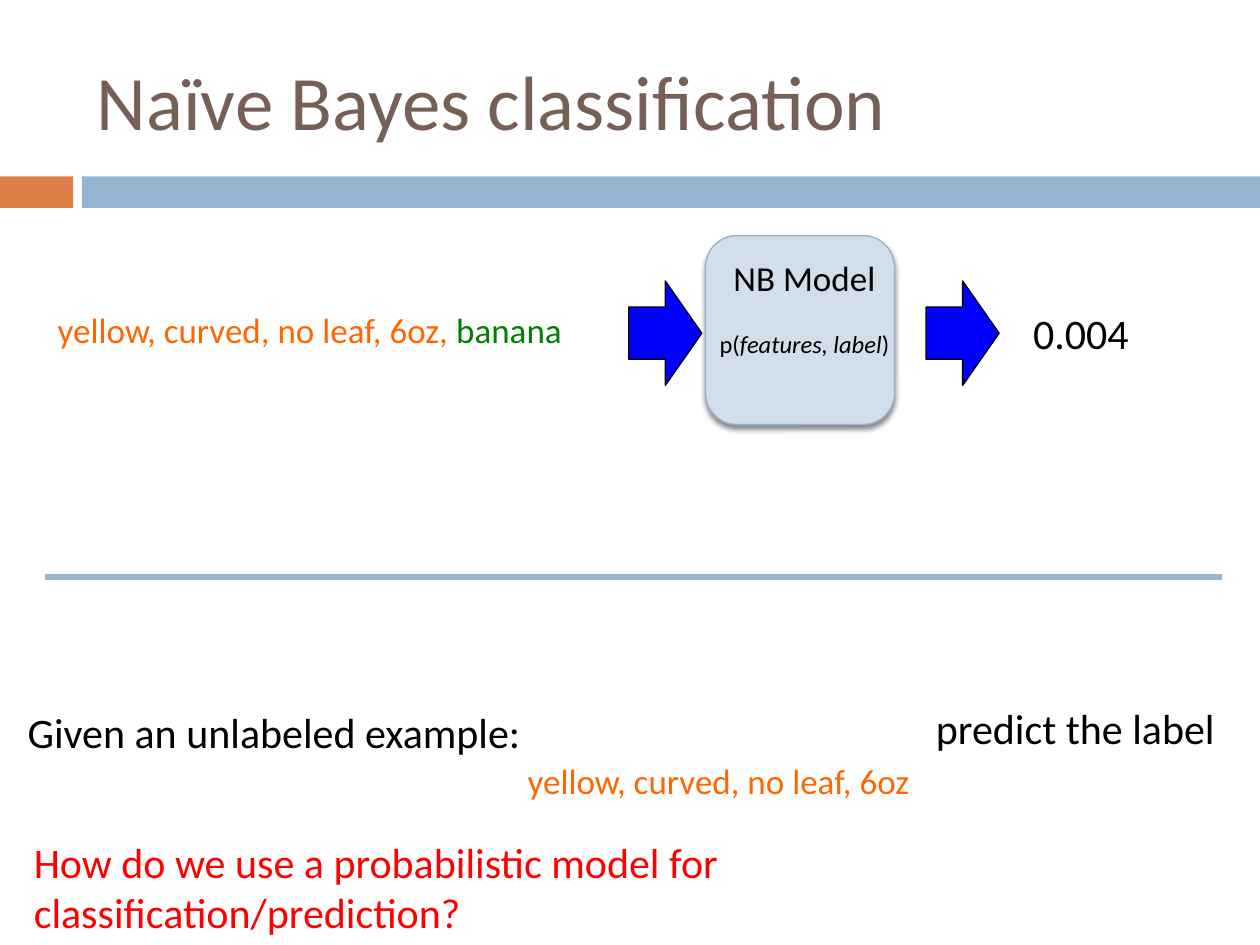
import pptx
import pptx.util
import pptx.dml.color
import pptx.enum.shapes
import pptx.enum.text
import pptx.oxml
from lxml import etree

KIND = pptx.enum.shapes.MSO_SHAPE
ALIGN = pptx.enum.text.PP_ALIGN
ANCHOR = pptx.enum.text.MSO_ANCHOR

THEME = {
    "font": "Calibri",
    "brown": "775F55", "rust": "DD8047", "sky": "94B6D2", "pale": "D2DEEA",
    "orange": "FF6600", "green": "008000", "red": "FF0000",
    "blue": "0000FF", "black": "000000",
    "title": 44, "large": 24, "mid": 20, "small": 14,
}
WIDE, HIGH = 10, 7.5
COLS, ROWS = 100, 75  # square grid cells over the whole slide

# Content: places are (column, row, columns, rows)
BARS = [("rust", (0, 14, 5.8, 2.5)), ("sky", (6.5, 14, 93.5, 2.5))]
TITLE = ((6.7, 2.5, 89.2, 10.8), "Naïve Bayes classification")
MODEL = (56, 18.7, 15, 15)
LABEL = (56, 19.9, 15.7, 9.1)
ARROWS = [(col, 22.3, 5.8, 8.3) for col in (49.9, 73.5)]
RULE = (3.6, 97, 45.8)  # from column, to column, row
FRUIT = "yellow, curved, no leaf, 6oz"
NOTES = [  # place, size, runs of (text, colour)
    ((3.6, 24, 42.5, 4.4), "mid", [(FRUIT + ", ", "orange"), ("banana", "green")]),
    ((81, 23.9, 10.2, 5), "large", [("0.004", "black")]),
    ((1.2, 55.6, 41.8, 5), "large", [("Given an unlabeled example:", "black")]),
    ((40.9, 59.8, 32.6, 4.4), "mid", [(FRUIT, "orange")]),
    ((73.3, 55.3, 24.3, 5), "large", [("predict the label", "black")]),
]
ASK = ((1.7, 65.9, 89.6, 5),
       "How do we use a probabilistic model for classification/prediction?")

SHADE = """<a:effectLst xmlns:a="http://schemas.openxmlformats.org/drawingml/2006/main">
<a:outerShdw blurRad="38100" dist="30480" dir="5400000" rotWithShape="0">
<a:srgbClr val="000000"><a:alpha val="45000"/></a:srgbClr>
</a:outerShdw></a:effectLst>"""
EMPTY = '<a:effectLst xmlns:a="http://schemas.openxmlformats.org/drawingml/2006/main"/>'


def tint(name):
    return pptx.dml.color.RGBColor.from_string(THEME[name])


def col(n):
    return pptx.util.Inches(n * WIDE / COLS)


def row(n):
    return pptx.util.Inches(n * HIGH / ROWS)


def spot(place):
    left, top, width, height = place
    return col(left), row(top), col(width), row(height)


def apply(thing, values):
    for key, value in values.items():
        setattr(thing, key, value)


def draw(shapes, kind, place, fill, line=None, width=0.75):
    shape = shapes.add_shape(kind, *spot(place))
    shape.shadow.inherit = False
    shape.fill.solid()
    shape.fill.fore_color.rgb = tint(fill)
    if line:
        shape.line.color.rgb = tint(line)
        shape.line.width = pptx.util.Pt(width)
    else:
        shape.line.fill.background()
    return shape


def write(para, text, size, hue, italic=False):
    run = para.add_run()
    run.text = text
    apply(run.font, {"name": THEME["font"], "size": pptx.util.Pt(THEME[size]),
                     "italic": italic})
    run.font.color.rgb = tint(hue)


def frame(shapes, place, **form):
    text = shapes.add_textbox(*spot(place)).text_frame
    apply(text, {"word_wrap": True, **form})
    return text


deck = pptx.Presentation()
apply(deck, {"slide_width": col(COLS), "slide_height": row(ROWS)})
slide = deck.slides.add_slide(deck.slide_layouts[6])
shapes = slide.shapes

# Header bars and title
for fill, place in BARS:
    draw(shapes, KIND.RECTANGLE, place, fill)
place, text = TITLE
head = frame(shapes, place, vertical_anchor=ANCHOR.MIDDLE)
write(head.paragraphs[0], text, "title", "brown")

# Model box with its label
group = shapes.add_group_shape().shapes
box = draw(group, KIND.ROUNDED_RECTANGLE, MODEL, "pale", "sky", 0.79)
props = box.fill._xPr
old = props.find(pptx.oxml.ns.qn("a:effectLst"))
props.replace(old, pptx.oxml.parse_xml(SHADE))
label = frame(group, LABEL, margin_left=col(0.5), margin_right=col(0.5))
name, odds = label.paragraphs[0], label.add_paragraph()
for para in (name, odds):
    para.alignment = ALIGN.CENTER
odds.space_before = pptx.util.Pt(17)
write(name, "NB Model", "mid", "black")
for text, italic in (("p(", False), ("features, label", True), (")", False)):
    write(odds, text, "small", "black", italic)

# Arrows in and out of the model
for place in ARROWS:
    draw(shapes, KIND.RIGHT_ARROW, place, "blue", "black")

# Single-line texts
for place, size, runs in NOTES:
    note = frame(shapes, place, word_wrap=False)
    for text, hue in runs:
        write(note.paragraphs[0], text, size, hue)

# Question, kept to a narrow measure
place, text = ASK
ask = frame(shapes, place, margin_right=col(25))
write(ask.paragraphs[0], text, "large", "red")

# Dividing rule
start, end, level = RULE
rule = shapes.add_connector(pptx.enum.shapes.MSO_CONNECTOR.STRAIGHT,
                            col(start), row(level), col(end), row(level))
rule.line.color.rgb = tint("sky")
rule.line.width = pptx.util.Pt(3)
rule._element.spPr.append(etree.fromstring(EMPTY))

deck.save("out.pptx")
